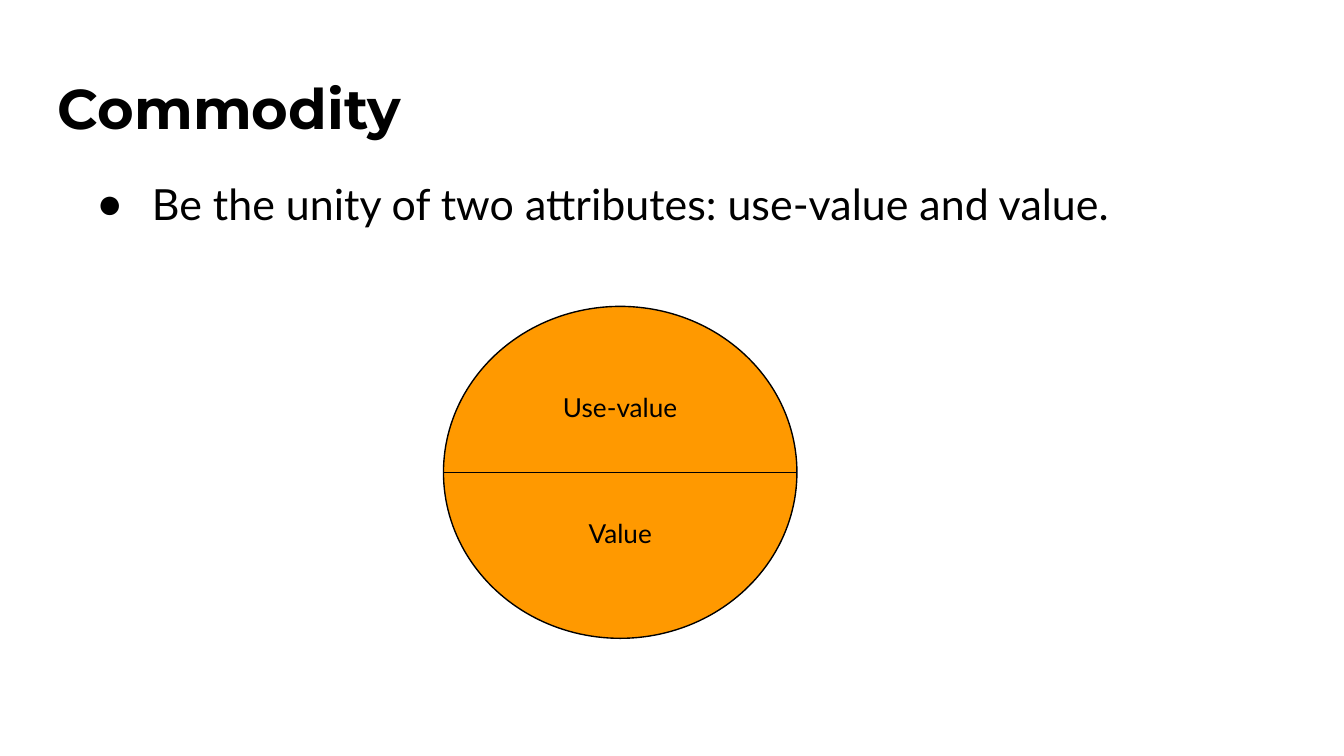
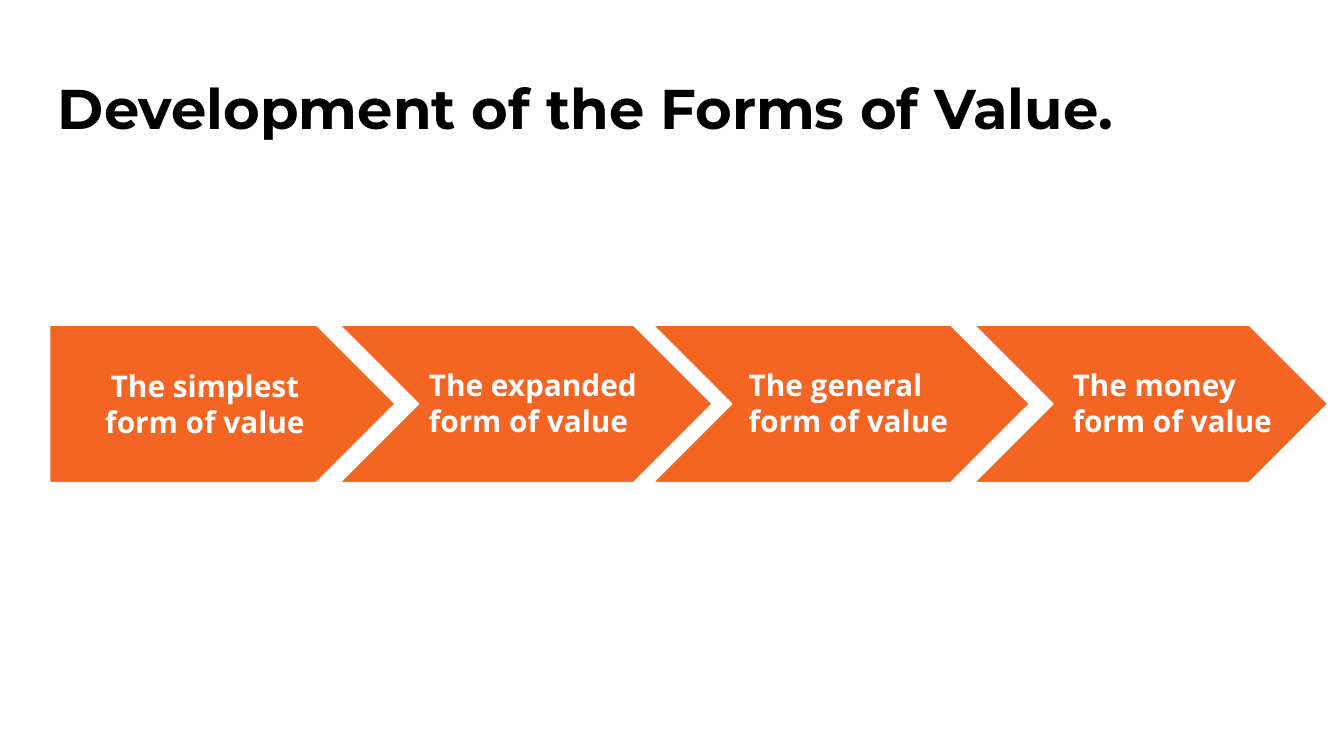
from lxml import etree
from pptx import Presentation
from pptx.dml.color import RGBColor
from pptx.enum.shapes import MSO_CONNECTOR, MSO_SHAPE
from pptx.enum.text import MSO_ANCHOR, MSO_AUTO_SIZE, PP_ALIGN
from pptx.oxml.ns import qn
from pptx.util import Inches, Pt

BLACK = RGBColor(0x00, 0x00, 0x00)
WHITE = RGBColor(0xFF, 0xFF, 0xFF)
AMBER = RGBColor(0xFF, 0x99, 0x00)
ORANGE = RGBColor(0xF4, 0x65, 0x24)
LEFT, CENTER = PP_ALIGN.LEFT, PP_ALIGN.CENTER
TOP, MIDDLE = MSO_ANCHOR.TOP, MSO_ANCHOR.MIDDLE
NO_AUTOFIT = MSO_AUTO_SIZE.NONE
OVAL, PENTAGON, CHEVRON = MSO_SHAPE.OVAL, MSO_SHAPE.PENTAGON, MSO_SHAPE.CHEVRON
STRAIGHT = MSO_CONNECTOR.STRAIGHT


def set_text(holder, box, text, font, size, color, bold=False, align=LEFT, anchor=TOP):
    holder.left, holder.top, holder.width, holder.height = map(Inches, box)
    frame = holder.text_frame
    frame.word_wrap = True
    frame.auto_size = NO_AUTOFIT
    frame.vertical_anchor = anchor
    frame.margin_left = frame.margin_right = Inches(0.1)
    frame.margin_top = frame.margin_bottom = Inches(0.1)
    frame.text = text
    paragraph = frame.paragraphs[0]
    paragraph.alignment = align
    paragraph.space_before = Pt(0)
    paragraph.font.name = font
    paragraph.font.size = Pt(size)
    paragraph.font.bold = bold
    paragraph.font.color.rgb = color
    return paragraph


def add_outlined(slide, kind, box, fill, outline):
    figure = slide.shapes.add_shape(kind, *map(Inches, box))
    figure.shadow.inherit = False
    figure.fill.solid()
    figure.fill.fore_color.rgb = fill
    figure.line.color.rgb = outline
    figure.line.width = Pt(0.75)
    return figure


deck = Presentation()
deck.slide_width = Inches(10)
deck.slide_height = deck.slide_width * 9 // 16
commodity = deck.slides.add_slide(deck.slide_layouts.get_by_name("Title and Content"))
development = deck.slides.add_slide(deck.slide_layouts.get_by_name("Comparison"))

for slide, heading in [
    (commodity, "Commodity"),
    (development, "Development of the Forms of Value."),
]:
    set_text(slide.shapes.title, (0.33, 0.45, 9.32, 0.7), heading,
             "Montserrat", 30, BLACK, bold=True)

definition = set_text(commodity.placeholders[1], (0.53, 1.22, 8.95, 3.82),
                      "Be the unity of two attributes: use-value and value.",
                      "Lato", 23, BLACK)
bullet = definition._p.get_or_add_pPr()
bullet.set("marL", str(Inches(0.5)))
bullet.set("indent", str(Inches(-0.41)))
bullet_mark = etree.Element(qn("a:buChar"))
bullet_mark.set("char", "●")
bullet.insert_element_before(bullet_mark, "a:tabLst", "a:defRPr")

circle_left, circle_top, circle_width, circle_height = 3.3, 2.28, 2.63, 2.47
add_outlined(commodity, OVAL, (circle_left, circle_top, circle_width, circle_height),
             AMBER, BLACK)
middle = Inches(circle_top + circle_height / 2)
divider = commodity.shapes.add_connector(
    STRAIGHT, Inches(circle_left), middle, Inches(circle_left + circle_width), middle)
divider.line.color.rgb = BLACK
divider.line.width = Pt(0.75)
etree.SubElement(divider._element.spPr, qn("a:effectLst"))

for attribute, box in [
    ("Use-value", (3.98, 2.81, 1.27, 0.47)),
    ("Value", (4.16, 3.75, 0.91, 0.39)),
]:
    label = commodity.shapes.add_textbox(*map(Inches, box))
    set_text(label, box, attribute, "Lato", 14, BLACK, align=CENTER)

stages = [
    ("simplest", PENTAGON, 0.37, 2.57, (0.54, 2.65, 1.97, 0.7), CENTER),
    ("expanded", CHEVRON, 2.53, 2.77, (3.09, 2.74, 1.77, 0.51), LEFT),
    ("general", CHEVRON, 4.86, 2.8, (5.47, 2.74, 1.7, 0.51), LEFT),
    ("money", CHEVRON, 7.25, 2.63, (7.88, 2.74, 1.77, 0.51), LEFT),
]
for index, (form, kind, left, width, label_box, align) in enumerate(stages, start=1):
    arrow = add_outlined(development, kind, (left, 2.42, width, 1.17), ORANGE, WHITE)
    arrow.adjustments[0] = 0.5
    label = development.placeholders[index]
    stage = set_text(label, label_box, f"The {form} form of value",
                     "Open Sans", 16, WHITE, bold=True, align=align, anchor=MIDDLE)
    plain = stage._p.get_or_add_pPr()
    plain.set("marL", "0")
    plain.set("indent", "0")
    plain.insert_element_before(etree.Element(qn("a:buNone")), "a:tabLst", "a:defRPr")
    arrow._element.addnext(label._element)

deck.save("out.pptx")
